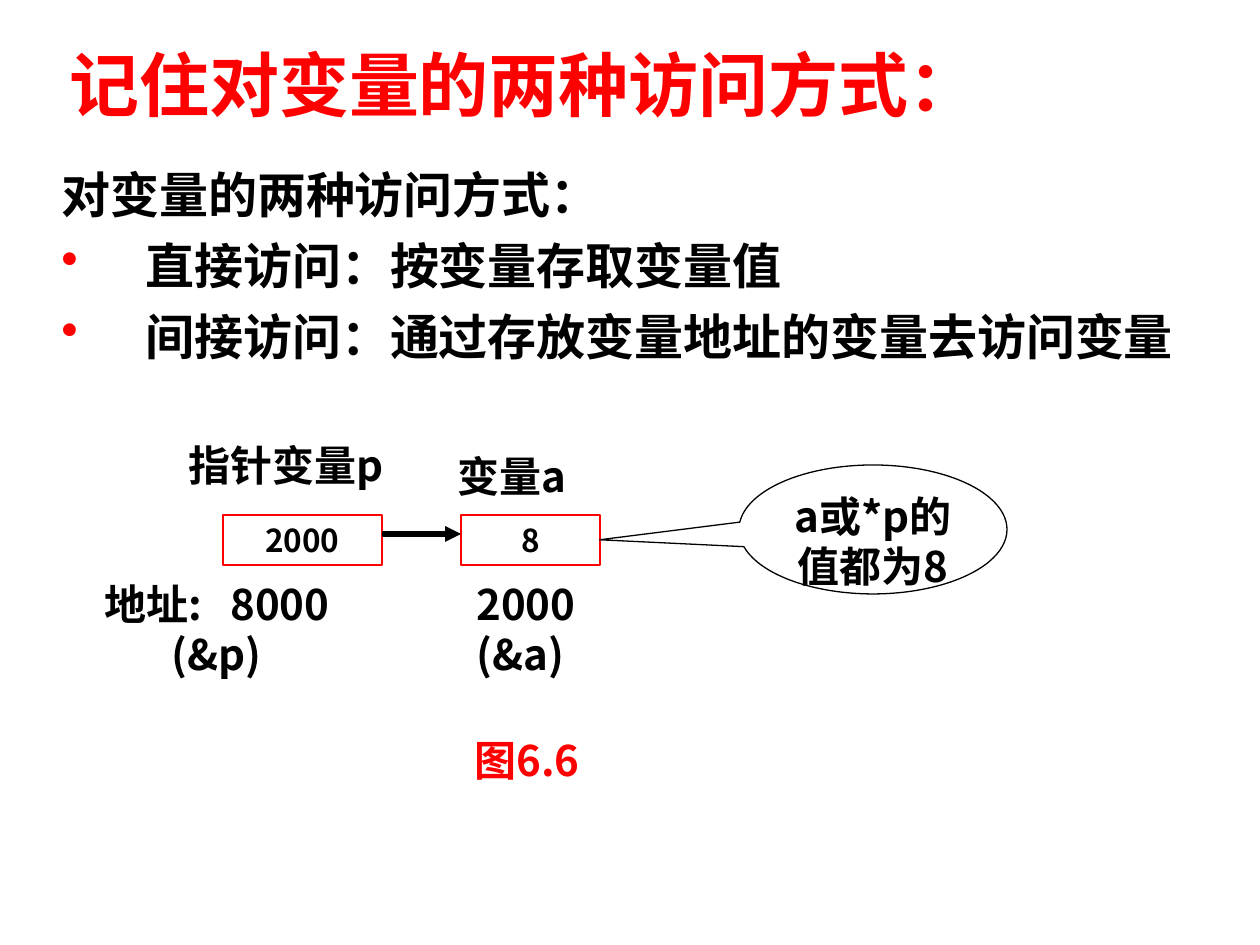
import dataclasses

import pptx
import pptx.dml.color
import pptx.enum.shapes
import pptx.enum.text
import pptx.oxml.ns
import pptx.util
from lxml import etree

PX = pptx.util.Inches(1) / 126
SHAPES = pptx.enum.shapes.MSO_SHAPE
LEFT = pptx.enum.text.PP_ALIGN.LEFT
CENTER = pptx.enum.text.PP_ALIGN.CENTER


@dataclasses.dataclass(frozen=True)
class Theme:
    font: str = "Noto Sans CJK SC"
    red: str = "FF0000"
    black: str = "000000"
    white: str = "FFFFFF"
    title: int = 40
    body: int = 28
    label: int = 24
    cell: int = 18
    leading: float = 1.2
    outline: float = 0.75
    arrow: int = 3


def emu(px):
    return pptx.util.Emu(round(px * PX))


def rgb(value):
    return pptx.dml.color.RGBColor.from_string(value)


def add_xml(parent, tag, **attributes):
    return etree.SubElement(parent, pptx.oxml.ns.qn(tag), **attributes)


class SlideBuilder:
    def __init__(self, slide, theme):
        self.slide = slide
        self.theme = theme

    def add_run(self, paragraph, text, size, color, align=LEFT):
        paragraph.alignment = align
        paragraph.line_spacing = pptx.util.Pt(size * self.theme.leading)
        run = paragraph.add_run()
        run.text = text
        font = run.font
        font.size = pptx.util.Pt(size)
        font.bold = True
        font.color.rgb = rgb(color)
        font.name = self.theme.font
        add_xml(run._r.get_or_add_rPr(), "a:ea", typeface=self.theme.font)

    def text(self, box, lines, size, color, wrap=True):
        """Add a text box and return its paragraphs, one per line."""
        area = self.slide.shapes.add_textbox(*map(emu, box))
        frame = area.text_frame
        frame.word_wrap = wrap
        for index, line in enumerate(lines):
            paragraph = frame.add_paragraph() if index else frame.paragraphs[0]
            self.add_run(paragraph, line, size, color)
        return frame.paragraphs

    def hang(self, paragraph, indent, before=0, bullet=None):
        """Give a paragraph a hanging indent, with a red bullet if asked."""
        properties = paragraph._p.get_or_add_pPr()
        properties.set("marL", str(emu(indent)))
        properties.set("indent", str(-emu(indent)))
        if before:
            paragraph.space_before = pptx.util.Pt(before)
        if bullet:
            color = add_xml(properties, "a:buClr")
            add_xml(color, "a:srgbClr", val=self.theme.red)
            add_xml(properties, "a:buChar", char=bullet)

    def shape(self, kind, box, text, size, line, fill=None):
        shape = self.slide.shapes.add_shape(kind, *map(emu, box))
        shape.shadow.inherit = False
        if fill:
            shape.fill.solid()
            shape.fill.fore_color.rgb = rgb(fill)
        else:
            shape.fill.background()
        shape.line.color.rgb = rgb(line)
        shape.line.width = pptx.util.Pt(self.theme.outline)
        frame = shape.text_frame
        frame.word_wrap = True
        frame.vertical_anchor = pptx.enum.text.MSO_ANCHOR.TOP
        self.add_run(frame.paragraphs[0], text, size, self.theme.black, CENTER)
        return shape

    def arrow(self, x1, y1, x2, y2):
        arrow = self.slide.shapes.add_connector(
            pptx.enum.shapes.MSO_CONNECTOR.STRAIGHT, *map(emu, (x1, y1, x2, y2)))
        arrow.line.color.rgb = rgb(self.theme.black)
        arrow.line.width = pptx.util.Pt(self.theme.arrow)
        add_xml(arrow.line._get_or_add_ln(), "a:tailEnd", type="triangle")
        add_xml(arrow._element.spPr, "a:effectLst")


def main():
    deck = pptx.Presentation()
    deck.slide_width = emu(1260)
    deck.slide_height = emu(945)
    theme = Theme()
    builder = SlideBuilder(deck.slides.add_slide(deck.slide_layouts[6]), theme)

    builder.text((57, 35, 934, 97), ["记住对变量的两种访问方式："],
                 theme.title, theme.red, wrap=False)
    builder.text((462, 728, 159, 63), ["图6.6"], theme.label, theme.red)

    cell_top, cell_height = 515, 50
    pointer_left, pointer_width = 223, 159
    target_left, target_width = 461, 139
    for left, width, value in ((pointer_left, pointer_width, "2000"),
                               (target_left, target_width, "8")):
        builder.shape(SHAPES.RECTANGLE, (left, cell_top, width, cell_height),
                      value, theme.cell, theme.red)
    builder.arrow(pointer_left + pointer_width, 534, target_left, 534)

    address_top, address_height = 572, 113
    address, address_of_p = builder.text(
        (92, address_top, 304, address_height), ["地址:\t8000", "(&p)"],
        theme.label, theme.black)
    tabs = add_xml(address._p.get_or_add_pPr(), "a:tabLst")
    add_xml(tabs, "a:tab", pos=str(emu(126)), algn="l")
    address_of_p._p.get_or_add_pPr().set("marL", str(emu(67)))
    builder.text((464, address_top, 126, address_height), ["2000", "(&a)"],
                 theme.label, theme.black)

    builder.text((176, 433, 228, 63), ["指针变量p"], theme.label, theme.black)
    builder.text((445, 444, 144, 63), ["变量a"], theme.label, theme.black,
                 wrap=False)

    callout = builder.shape(SHAPES.OVAL_CALLOUT, (739, 465, 268, 129),
                            "a或*p的值都为8", theme.label, theme.black, theme.white)
    callout.adjustments[0] = -1.02
    callout.adjustments[1] = 0.08

    heading, *access_modes = builder.text(
        (49, 158, 1152, 258),
        ["对变量的两种访问方式：", "直接访问：按变量存取变量值",
         "间接访问：通过存放变量地址的变量去访问变量"],
        theme.body, theme.black)
    builder.hang(heading, 84)
    for mode in access_modes:
        builder.hang(mode, 84, before=7, bullet="•")

    deck.save("out.pptx")


if __name__ == "__main__":
    main()
